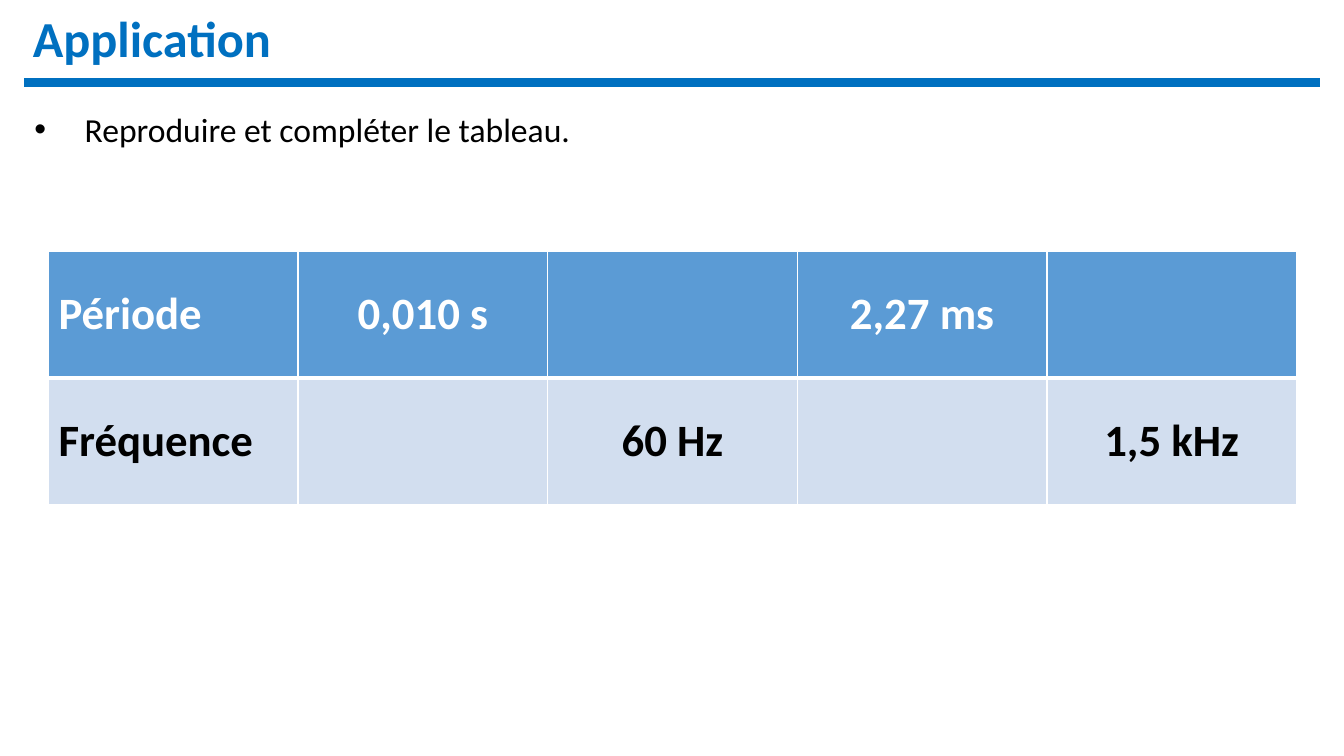
from lxml import etree
from pptx import Presentation
from pptx.dml.color import RGBColor
from pptx.enum.shapes import MSO_CONNECTOR
from pptx.enum.text import MSO_ANCHOR, MSO_AUTO_SIZE, PP_ALIGN
from pptx.oxml.ns import qn
from pptx.util import Pt

STRAIGHT = MSO_CONNECTOR.STRAIGHT
MIDDLE, TOP = MSO_ANCHOR.MIDDLE, MSO_ANCHOR.TOP
LEFT, CENTER = PP_ALIGN.LEFT, PP_ALIGN.CENTER
NO_FIT = MSO_AUTO_SIZE.NONE

BLUE = RGBColor(0x00, 0x70, 0xC0)
HEADER_FILL = RGBColor(0x5B, 0x9B, 0xD5)
ROW_FILL = RGBColor(0xD2, 0xDE, 0xEF)
WHITE = RGBColor(0xFF, 0xFF, 0xFF)
BLACK = RGBColor(0x00, 0x00, 0x00)

FONT = "Calibri"
ROWS = [
    ("Période", "0,010 s", "", "2,27 ms", ""),
    ("Fréquence", "", "60 Hz", "", "1,5 kHz"),
]
ROW_STYLES = [(HEADER_FILL, WHITE, 3), (ROW_FILL, BLACK, 1)]


def add_run(p, text, size, color, bold=False):
    """Add a formatted run to a paragraph."""
    r = p.add_run()
    r.text = text
    r.font.name = FONT
    r.font.size = Pt(size)
    r.font.bold = bold
    r.font.color.rgb = color


def place(sp, left, top, width, height, anchor):
    """Position a placeholder and return its first paragraph."""
    sp.left, sp.top, sp.width, sp.height = Pt(left), Pt(top), Pt(width), Pt(height)
    tf = sp.text_frame
    tf.word_wrap = True
    tf.auto_size = NO_FIT
    tf.vertical_anchor = anchor
    p = tf.paragraphs[0]
    p.alignment = LEFT
    p.space_before = Pt(0)
    return p


def set_title(s, text):
    """Write the slide title, left aligned across the top."""
    p = place(s.shapes.title, 0, 0, 960, 59, MIDDLE)
    s.shapes.title.text_frame.margin_left = Pt(23.5)
    p.line_spacing = 0.9
    add_run(p, text, 36, BLUE, True)


def set_bullet(s, text):
    """Write the instruction as a bulleted body line."""
    p = place(s.placeholders[1], 17.3, 74.2, 432, 36, TOP)
    pPr = p._p.get_or_add_pPr()
    pPr.set("marL", str(Pt(36)))
    pPr.set("indent", str(-Pt(36)))
    etree.SubElement(pPr, qn("a:buFont")).set("typeface", "Arial")
    etree.SubElement(pPr, qn("a:buChar")).set("char", "•")
    add_run(p, text, 24, BLACK)


def add_rule(s, left, right, y):
    """Draw the thick rule under the title."""
    rule = s.shapes.add_connector(STRAIGHT, Pt(left), Pt(y), Pt(right), Pt(y))
    rule.line.color.rgb = BLUE
    rule.line.width = Pt(6)
    etree.SubElement(rule._element.spPr, qn("a:effectLst"))


def set_borders(cell, widths):
    """Give a cell white borders, widths keyed by side."""
    tcPr = cell._tc.get_or_add_tcPr()
    for i, (side, width) in enumerate(widths.items()):
        ln = etree.Element(qn(f"a:ln{side}"), w=str(Pt(width)))
        fill = etree.SubElement(ln, qn("a:solidFill"))
        etree.SubElement(fill, qn("a:srgbClr")).set("val", str(WHITE))
        tcPr.insert(i, ln)


def add_values_table(s, left, top, col_width, row_height):
    """Add the table of periods and frequencies."""
    n_rows, n_cols = len(ROWS), len(ROWS[0])
    table = s.shapes.add_table(n_rows, n_cols, Pt(left), Pt(top),
                               Pt(col_width * n_cols), Pt(row_height * n_rows)).table
    for i, (texts, (fill, color, bottom)) in enumerate(zip(ROWS, ROW_STYLES)):
        top_border = ROW_STYLES[i - 1][2] if i else 1
        for j, text in enumerate(texts):
            cell = table.cell(i, j)
            cell.fill.solid()
            cell.fill.fore_color.rgb = fill
            cell.vertical_anchor = MIDDLE
            set_borders(cell, {"L": 1, "R": 1, "T": top_border, "B": bottom})
            if text:
                p = cell.text_frame.paragraphs[0]
                p.alignment = CENTER if j else LEFT
                add_run(p, text, 32, color, True)


def main():
    """Build the slide and save it."""
    prs = Presentation()
    prs.slide_width, prs.slide_height = Pt(960), Pt(540)
    s = prs.slides.add_slide(prs.slide_layouts[1])
    set_title(s, "Application")
    add_rule(s, 17.3, 943, 59)
    set_bullet(s, "Reproduire et compléter le tableau.")
    add_values_table(s, 34.6, 179.3, 178.3, 90.7)
    prs.save("out.pptx")


if __name__ == "__main__":
    main()
